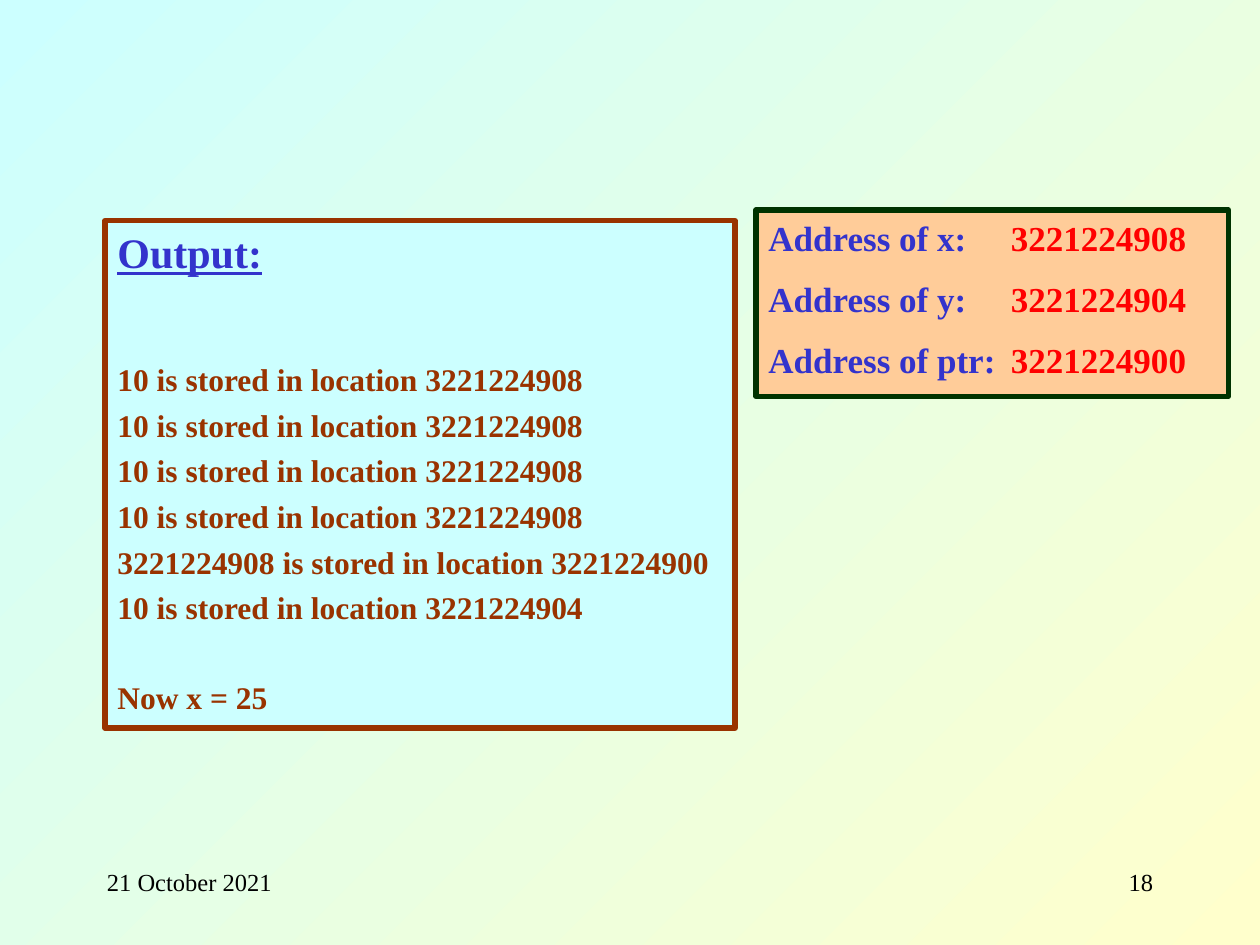
from pptx import Presentation
from pptx.dml.color import RGBColor
from pptx.enum.shapes import MSO_SHAPE
from pptx.enum.text import MSO_ANCHOR, PP_ALIGN
from pptx.oxml.ns import qn
from pptx.util import Pt
from lxml.etree import SubElement

FONT = "Times New Roman"
CYAN = RGBColor(0xCC, 0xFF, 0xFF)
CREAM = RGBColor(0xFF, 0xFF, 0xCC)
PEACH = RGBColor(0xFF, 0xCC, 0x99)
BROWN = RGBColor(0x99, 0x33, 0x00)
GREEN = RGBColor(0x00, 0x33, 0x00)
BLUE = RGBColor(0x33, 0x33, 0xCC)
RED = RGBColor(0xFF, 0x00, 0x00)
BLACK = RGBColor(0x00, 0x00, 0x00)

X, Y, PTR = "3221224908", "3221224904", "3221224900"
STORED = [("10", X)] * 4 + [(X, PTR), ("10", Y)]
ADDRESSES = [("x", X), ("y", Y), ("ptr", PTR)]


def style(font, size, color, bold=True):
    """Set the face, size, colour and weight of a font."""
    font.name, font.size, font.bold = FONT, Pt(size), bold
    font.color.rgb = color


def paint(slide):
    """Fill the background with a diagonal gradient."""
    fill = slide.background.fill
    fill.gradient()
    fill.gradient_angle = 315
    for stop, color in zip(fill.gradient_stops, (CYAN, CREAM)):
        stop.color.rgb = color


def panel(slide, box, fill, line):
    """Add a framed rectangle and return its text frame."""
    shape = slide.shapes.add_shape(MSO_SHAPE.RECTANGLE, *map(Pt, box))
    shape.shadow.inherit = False
    shape.fill.solid()
    shape.fill.fore_color.rgb = fill
    shape.line.color.rgb = line
    shape.line.width = Pt(3)
    frame = shape.text_frame
    frame.vertical_anchor = MSO_ANCHOR.TOP
    frame.word_wrap = True
    return frame


def output(slide, box):
    """Show the program's printed lines under a heading."""
    frame = panel(slide, box, CYAN, BROWN)
    lines = [f"{value} is stored in location {place}" for value, place in STORED]
    frame.text = "\n".join(["Output:", *lines, "Now x = 25"])
    head, first, *rest, last = frame.paragraphs
    for para in frame.paragraphs:
        para.alignment = PP_ALIGN.LEFT
        style(para.runs[0].font, 18, BROWN)
    style(head.runs[0].font, 24, BLUE)
    head.runs[0].font.underline = True
    first.space_before = Pt(47.5)
    for para in rest:
        para.space_before = Pt(4.45)
    last.space_before = Pt(29.6)


def address(slide, box):
    """List each variable with its address in a second column."""
    frame = panel(slide, box, PEACH, GREEN)
    frame.text = "\n".join(f"Address of {name}:" for name, _ in ADDRESSES)
    for row, (para, (_, place)) in enumerate(zip(frame.paragraphs, ADDRESSES)):
        para.alignment = PP_ALIGN.LEFT
        if row:
            para.space_before = Pt(11)
        tabs = SubElement(para._p.get_or_add_pPr(), qn("a:tabLst"))
        SubElement(tabs, qn("a:tab"), pos=str(Pt(138.5)), algn="l")
        para.add_run().text = "\t" + place
        for run, color in zip(para.runs, (BLUE, RED)):
            style(run.font, 20, color)


def footer(slide, box, text, align):
    """Place one plain footer entry."""
    frame = slide.shapes.add_textbox(*map(Pt, box)).text_frame
    frame.word_wrap = True
    frame.text = text
    para = frame.paragraphs[0]
    para.alignment = align
    style(para.runs[0].font, 14, BLACK, False)


def main():
    """Build and save the slide."""
    deck = Presentation()
    deck.slide_width, deck.slide_height = Pt(720), Pt(540)
    slide = deck.slides.add_slide(deck.slide_layouts[6])
    paint(slide)
    footer(slide, (54, 492, 150, 36), "21 October 2021", PP_ALIGN.LEFT)
    footer(slide, (516, 492, 150, 36), "18", PP_ALIGN.RIGHT)
    output(slide, (60, 126, 360, 290))
    address(slide, (432, 120, 270, 106.5))
    deck.save("out.pptx")


if __name__ == "__main__":
    main()
